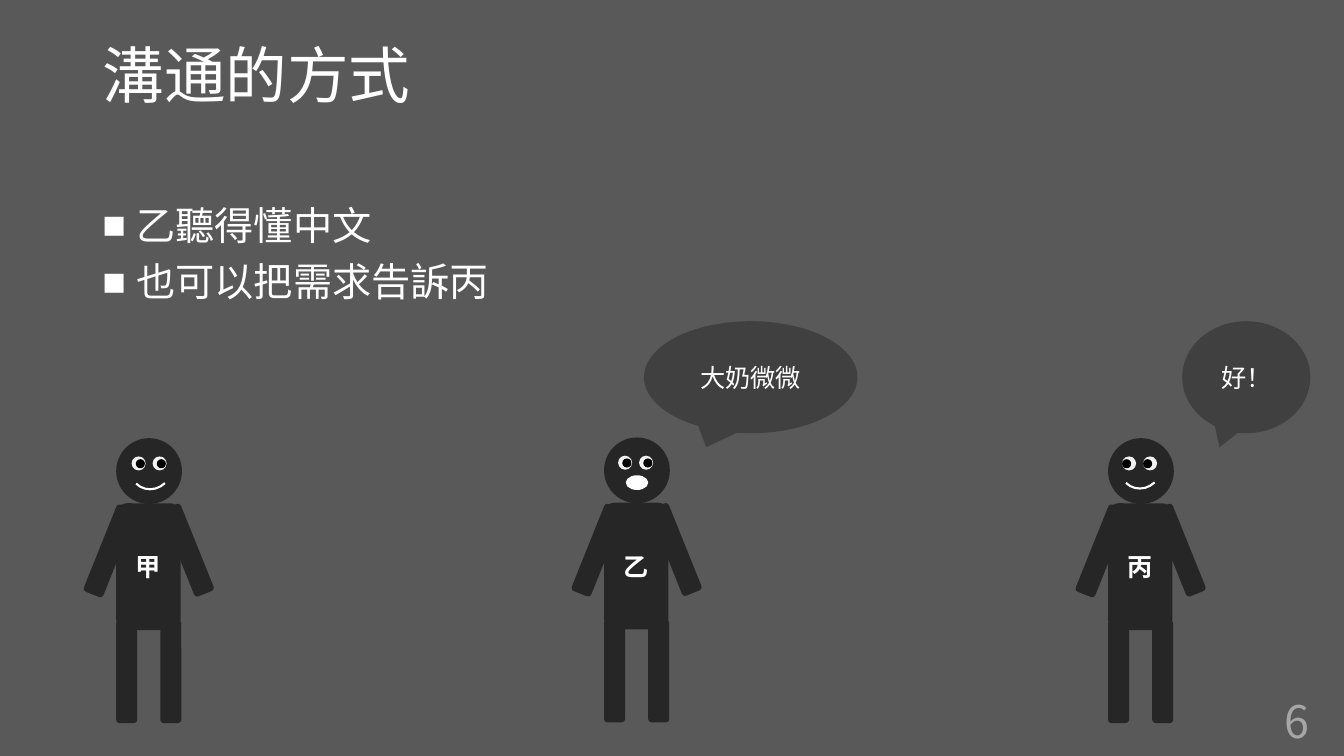
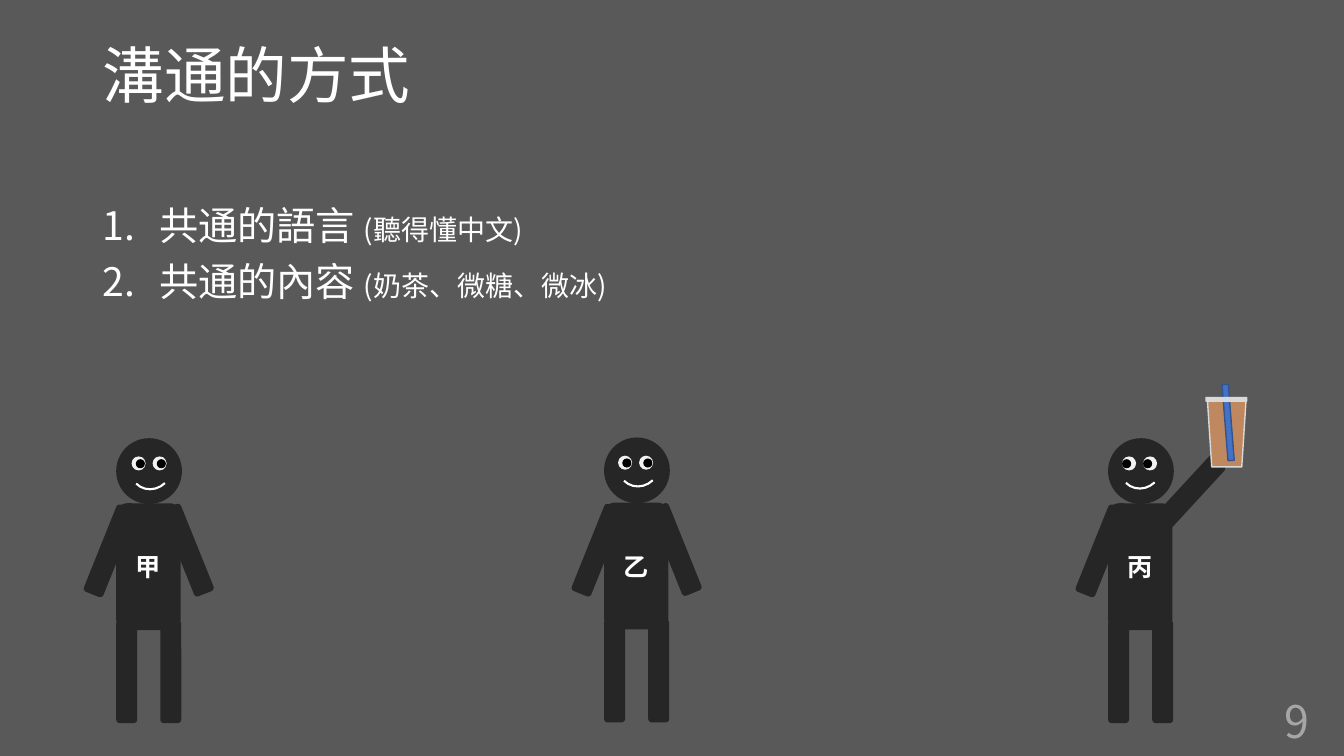
"""Build two slides on ways to communicate, acted out by three stick figures."""
import dataclasses

import lxml.etree
import pptx
import pptx.dml.color
import pptx.enum.shapes
import pptx.enum.text
import pptx.oxml.ns
import pptx.util

SHAPE = pptx.enum.shapes.MSO_SHAPE
ALIGN = pptx.enum.text.PP_ALIGN
ANCHOR = pptx.enum.text.MSO_ANCHOR
PX = 6350


@dataclasses.dataclass(frozen=True)
class Theme:
    font: str = "Noto Sans CJK SC"
    bullet_font: str = "Arial"
    background: str = "595959"
    text: str = "FFFFFF"
    number: str = "A6A6A6"
    bubble: str = "404040"
    figure: str = "262626"
    eye: str = "F2F2F2"
    pupil: str = "000000"
    tea: str = "C0885E"
    plastic: str = "D9D9D9"
    straw: str = "4472C4"
    straw_edge: str = "325491"
    title_size: int = 44
    number_size: int = 32
    body_size: int = 28
    note_size: int = 20
    label_size: int = 18


@dataclasses.dataclass(frozen=True)
class Person:
    name: str
    x: int
    y: int
    eye_x: int
    pupil_x: int
    smile_x: int
    smile_y: int


THEME = Theme()
PEOPLE = (
    Person("乙", 863, 625, 20, 6, 20, 13),
    Person("甲", 166, 626, 22, 6, 20, 16),
    Person("丙", 1583, 626, 20, 0, 17, 15),
)


def px(*values):
    return [pptx.util.Emu(v * PX) for v in values]


def rgb(color):
    return pptx.dml.color.RGBColor.from_string(color)


def place(sp, *box):
    sp.left, sp.top, sp.width, sp.height = px(*box)


def add_child(parent, tag, **attributes):
    child = lxml.etree.SubElement(parent, pptx.oxml.ns.qn(tag))
    for key, value in attributes.items():
        child.set(key, value)


def add_run(p, text, size, color=THEME.text, bold=False):
    r = p.add_run()
    r.text = text
    r.font.size = pptx.util.Pt(size)
    r.font.bold = bold
    r.font.color.rgb = rgb(color)
    r.font.name = THEME.font
    add_child(r.font._element, "a:ea", typeface=THEME.font)


def add_shape(shapes, kind, box, fill=None, line=None, weight=1, rotation=0):
    sp = shapes.add_shape(kind, *px(*box))
    sp.shadow.inherit = False
    sp.rotation = rotation
    if fill:
        sp.fill.solid()
        sp.fill.fore_color.rgb = rgb(fill)
    else:
        sp.fill.background()
    if line:
        sp.line.color.rgb = rgb(line)
        sp.line.width = pptx.util.Pt(weight)
    else:
        sp.line.fill.background()
    return sp


def add_label(sp, text, bold=False):
    tf = sp.text_frame
    tf.vertical_anchor = ANCHOR.MIDDLE
    p = tf.paragraphs[0]
    p.alignment = ALIGN.CENTER
    add_run(p, text, THEME.label_size, bold=bold)


def add_title(s, text):
    sp = s.shapes.title
    place(sp, 132, 58, 1656, 209)
    tf = sp.text_frame
    tf.vertical_anchor = ANCHOR.TOP
    p = tf.paragraphs[0]
    p.alignment = ALIGN.LEFT
    p.line_spacing = 0.9
    add_run(p, text, THEME.title_size)


def add_list(s, items, indent, numbered=False):
    sp = s.placeholders[1]
    place(sp, 132, 288, 1656, 685)
    tf = sp.text_frame
    for i, runs in enumerate(items):
        p = tf.add_paragraph() if i else tf.paragraphs[0]
        p.line_spacing = 0.9
        p.space_before = pptx.util.Pt(10)
        props = p._p.get_or_add_pPr()
        props.set("marL", str(indent * PX))
        props.set("indent", str(-indent * PX))
        if numbered:
            add_child(props, "a:buFont", typeface=THEME.font)
            add_child(props, "a:buAutoNum", type="arabicPeriod")
        else:
            add_child(props, "a:buFont", typeface=THEME.bullet_font)
            add_child(props, "a:buChar", char="■")
        for text, size in runs:
            add_run(p, text, size)


def add_number(s, number):
    tf = s.shapes.add_textbox(*px(1453, 1001, 432, 58)).text_frame
    tf.word_wrap = True
    tf.vertical_anchor = ANCHOR.MIDDLE
    p = tf.paragraphs[0]
    p.alignment = ALIGN.RIGHT
    add_run(p, str(number), THEME.number_size, THEME.number)


def add_bubble(s, text, x, width):
    box = (x, 459, width, 160)
    add_label(add_shape(s.shapes, SHAPE.OVAL_CALLOUT, box, THEME.bubble), text)


def add_person(s, person, talking=False, raising=False):
    shapes = s.shapes.add_group_shape().shapes

    def part(kind, x, y, w, h, *style, **options):
        box = (person.x + x, person.y + y, w, h)
        return add_shape(shapes, kind, box, *style, **options)

    for x in (0, 63):
        part(SHAPE.ROUNDED_RECTANGLE, x, 260, 30, 147, THEME.figure)
    part(SHAPE.OVAL, 0, 0, 94, 94, THEME.figure)
    right_arm = (98, 15, 42.7) if raising else (87, 93, -21.9)
    for x, y, angle in ((-24, 94, 21.9), right_arm):
        part(SHAPE.ROUNDED_RECTANGLE, x, y, 30, 134, THEME.figure, rotation=angle)
    torso = part(SHAPE.ROUNDED_RECTANGLE, 0, 93, 92, 181, THEME.figure)
    add_label(torso, person.name, bold=True)
    for x in (person.eye_x, person.eye_x + 30):
        part(SHAPE.OVAL, x, 26, 20, 20, THEME.eye)
        part(SHAPE.OVAL, x + person.pupil_x, 30, 13, 13, THEME.pupil)
    if talking:
        part(SHAPE.OVAL, 32, 55, 30, 19, THEME.text, THEME.text)
    else:
        part(SHAPE.ARC, person.smile_x, person.smile_y, 60, 56,
             line=THEME.text, weight=1.5, rotation=136)


def add_drink(s):
    shapes = s.shapes.add_group_shape().shapes
    cup = add_shape(shapes, SHAPE.TRAPEZOID, (1725, 573, 55, 94),
                    THEME.tea, THEME.plastic, rotation=180)
    cup.adjustments[0] = 0.11
    add_shape(shapes, SHAPE.RECTANGLE, (1750, 549, 9, 109),
              THEME.straw, THEME.straw_edge, rotation=-4.5)
    add_shape(shapes, SHAPE.ROUNDED_RECTANGLE, (1722, 567, 60, 7), THEME.plastic)


def add_slide(prs, number, items, indent, numbered=False, talker="", raiser=""):
    s = prs.slides.add_slide(prs.slide_layouts[1])
    add_title(s, "溝通的方式")
    add_list(s, items, indent, numbered)
    for person in PEOPLE:
        add_person(s, person, person.name == talker, person.name == raiser)
    add_number(s, number)
    return s


def main():
    prs = pptx.Presentation()
    prs.slide_width, prs.slide_height = px(1920, 1080)
    fill = prs.slide_master.background.fill
    fill.solid()
    fill.fore_color.rgb = rgb(THEME.background)

    big, small = THEME.body_size, THEME.note_size
    s = add_slide(prs, 6, [[(" 乙聽得懂中文", big)], [(" 也可以把需求告訴丙", big)]],
                  indent=36, talker="乙")
    add_bubble(s, "大奶微微", 920, 305)
    add_bubble(s, "好！", 1689, 183)

    s = add_slide(prs, 9, [
        [("共通的語言 ", big), ("(聽得懂中文)", small)],
        [("共通的內容 ", big), ("(奶茶、微糖、微冰)", small)],
    ], indent=81, numbered=True, raiser="丙")
    add_drink(s)
    prs.save("out.pptx")


if __name__ == "__main__":
    main()
